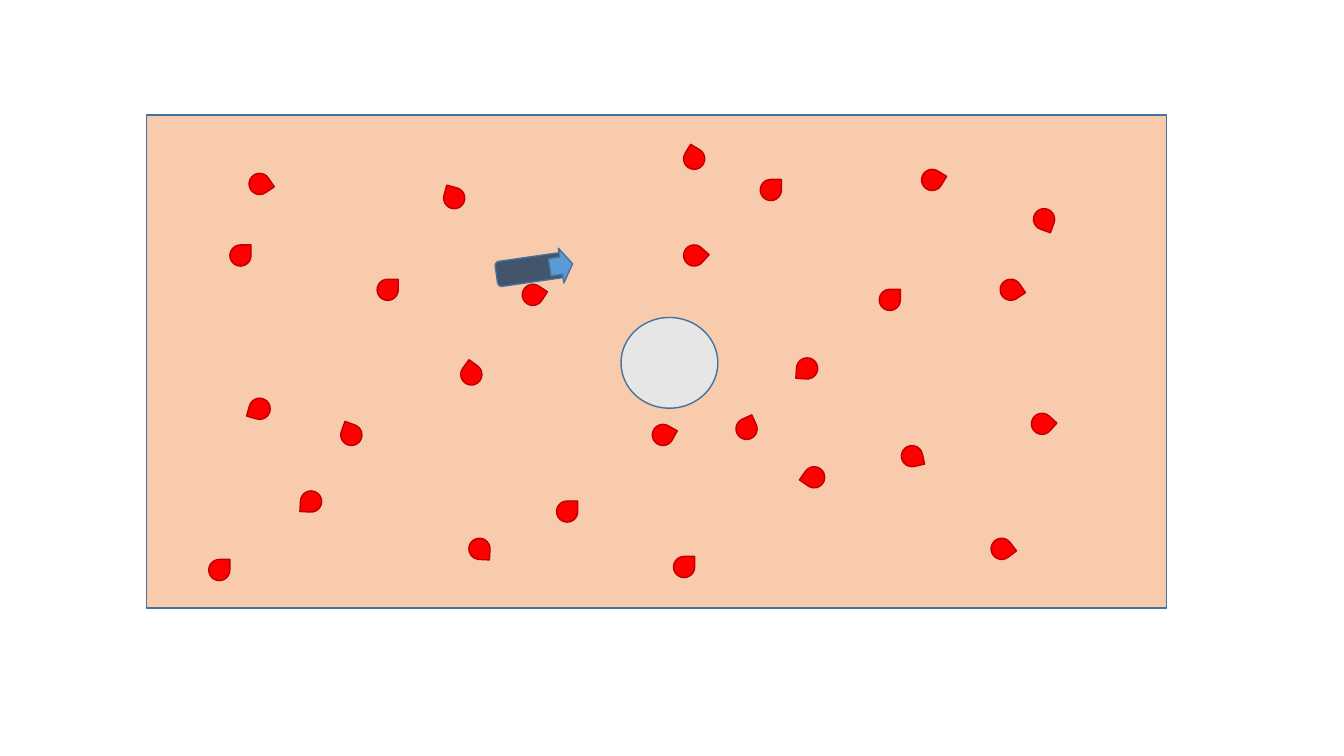
from pptx import Presentation
from pptx.dml.color import RGBColor
from pptx.enum import shapes
from pptx.util import Inches, Pt

THEME = {
    "field": ("F8CBAD", "43739E"),
    "drop": ("FF0000", "C00000"),
    "island": ("E7E6E6", "43739E"),
    "robot": ("44546A", "43739E"),
    "heading": ("5B9BD5", "43739E"),
    "line_width": 1,
}
SLIDE_SIZE = (13.33, 7.5)
DROP_SIZE = 0.21

FIELD = (1.45, 1.14, 10.12, 4.89)
ISLAND = (6.16, 3.15, 0.96, 0.9)
ROBOT = (4.92, 2.55, 0.67, 0.25)
HEADING = (5.39, 2.52, 0.35, 0.23)
ROBOT_TURN = 351.8
HEADING_TURN = 260.9

DROPS = [
    (3.74, 2.77, 0), (9.92, 2.77, 56), (3.38, 4.21, 290),
    (6.78, 1.47, 301), (2.47, 3.95, 196), (4.57, 3.61, 306),
    (10.25, 2.07, 110), (2.47, 1.72, 56), (7.9, 3.55, 184),
    (9.83, 5.34, 53), (7.97, 4.63, 215), (7.54, 1.78, 0),
    (2.98, 4.87, 183), (5.18, 2.82, 33), (4.65, 5.34, 93),
    (2.28, 2.43, 0), (6.78, 2.43, 42), (4.4, 1.86, 285),
    (2.07, 5.55, 0), (8.72, 2.87, 0), (6.47, 4.21, 29),
    (6.68, 5.52, 0), (9.14, 1.68, 31), (7.3, 4.15, 335),
    (10.23, 4.1, 42), (8.94, 4.42, 77), (5.52, 4.97, 0),
]


def add_part(page, kind, bounds, role, turn=0):
    part = page.shapes.add_shape(kind, *(Inches(length) for length in bounds))
    fill, line = THEME[role]
    part.shadow.inherit = False
    part.fill.solid()
    part.fill.fore_color.rgb = RGBColor.from_string(fill)
    part.line.color.rgb = RGBColor.from_string(line)
    part.line.width = Pt(THEME["line_width"])
    part.rotation = turn


deck = Presentation()
deck.slide_width, deck.slide_height = (Inches(length) for length in SLIDE_SIZE)
page = deck.slides.add_slide(deck.slide_layouts[6])
kinds = shapes.MSO_SHAPE

add_part(page, kinds.RECTANGLE, FIELD, "field")
for left, top, turn in DROPS:
    add_part(page, kinds.TEAR, (left, top, DROP_SIZE, DROP_SIZE), "drop", turn)
add_part(page, kinds.OVAL, ISLAND, "island")
add_part(page, kinds.ROUNDED_RECTANGLE, ROBOT, "robot", ROBOT_TURN)
add_part(page, kinds.DOWN_ARROW, HEADING, "heading", HEADING_TURN)

deck.save("out.pptx")
